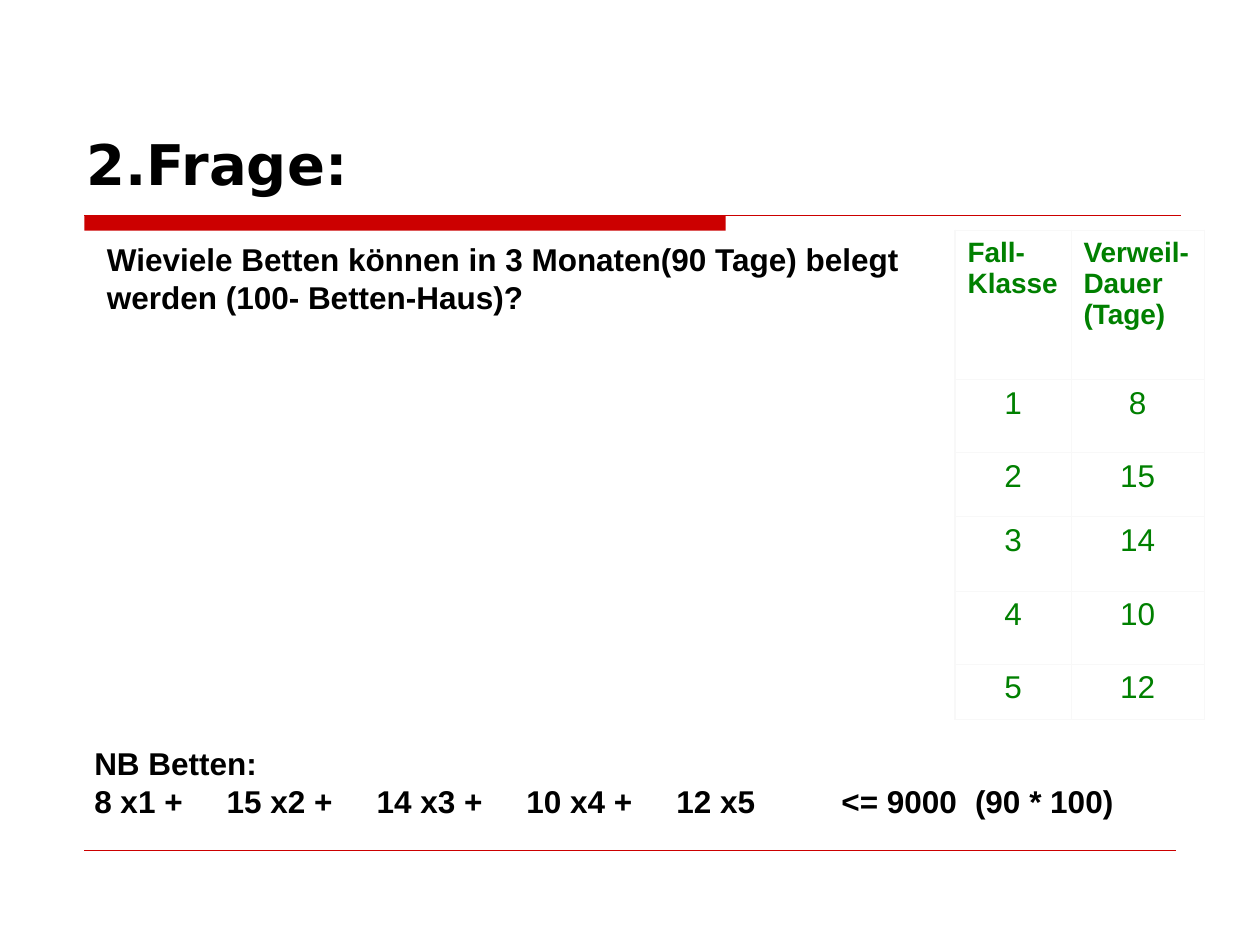
from lxml.etree import SubElement
from pptx import Presentation
from pptx.dml.color import RGBColor
from pptx.enum.shapes import MSO_CONNECTOR as Connector, MSO_SHAPE as Shape
from pptx.enum.text import MSO_ANCHOR as Anchor, PP_ALIGN as Align
from pptx.oxml.ns import qn
from pptx.util import Inches, Pt

COLORS = {"red": "CC0000", "black": "000000", "green": "008000", "grid": "F8F8F8"}
LEFT, RULE_TOP = 0.67, 1.71
COLUMNS = [0.92, 1.06]
ROWS = [1.18, 0.58, 0.51, 0.59, 0.58, 0.44]
HEADINGS = [["Fall-", "Klasse"], ["Verweil-", "Dauer", "(Tage)"]]
STAY_DAYS = [8, 15, 14, 10, 12]


def color(name):
    return RGBColor.from_string(COLORS[name])


def write(frame, lines, size, font="Arial", ink="black", bold=True, align=Align.LEFT):
    for index, line in enumerate(lines):
        para = frame.paragraphs[0] if index == 0 else frame.add_paragraph()
        para.alignment = align
        span = para.add_run()
        span.text = line
        span.font.size = Pt(size)
        span.font.name = font
        span.font.bold = bold
        span.font.color.rgb = color(ink)


def add_text(page, place, lines, size, font="Arial", anchor=Anchor.TOP):
    box = page.shapes.add_textbox(*map(Inches, place))
    box.text_frame.word_wrap = True
    box.text_frame.vertical_anchor = anchor
    write(box.text_frame, lines, size, font)
    return box


def add_rule(page, right, top, width):
    rule = page.shapes.add_connector(
        Connector.STRAIGHT, Inches(LEFT), Inches(top), Inches(right), Inches(top))
    rule.line.color.rgb = color("red")
    rule.line.width = Pt(width)
    SubElement(rule._element.spPr, qn("a:effectLst"))


def add_bar(page):
    bar = page.shapes.add_shape(
        Shape.RECTANGLE, Inches(LEFT), Inches(RULE_TOP), Inches(5.09), Inches(0.12))
    bar.shadow.inherit = False
    bar.fill.solid()
    bar.fill.fore_color.rgb = color("red")
    bar.line.fill.background()


def set_tabs(para, stops):
    tabs = SubElement(para._p.get_or_add_pPr(), qn("a:tabLst"))
    for stop in stops:
        SubElement(tabs, qn("a:tab"), pos=str(Inches(stop)), algn="l")


def set_borders(cell, widths):
    props = cell._tc.get_or_add_tcPr()
    for side, width in widths.items():
        line = SubElement(props, qn(f"a:ln{side}"), w=str(Pt(width)))
        fill = SubElement(line, qn("a:solidFill"))
        SubElement(fill, qn("a:srgbClr"), val=COLORS["grid"])


def add_stay_table(page):
    frame = page.shapes.add_table(
        len(ROWS), len(COLUMNS), Inches(7.58), Inches(1.83),
        Inches(sum(COLUMNS)), Inches(sum(ROWS)))
    table = frame.table
    table.first_row = table.horz_banding = False
    for column, width in zip(table.columns, COLUMNS):
        column.width = Inches(width)
    for row, height in zip(table.rows, ROWS):
        row.height = Inches(height)

    values = [[[str(number)], [str(days)]] for number, days in enumerate(STAY_DAYS, 1)]
    for r, row in enumerate([HEADINGS] + values):
        for c, lines in enumerate(row):
            cell = table.cell(r, c)
            # The left, top and bottom edges of the grid are heavier
            set_borders(cell, {
                "L": 0.96 if c == 0 else 0.45,
                "R": 0.45,
                "T": 0.96 if r == 0 else 0.45,
                "B": 0.96 if r == len(ROWS) - 1 else 0.45,
            })
            cell.fill.background()
            if r == 0:
                write(cell.text_frame, lines, 16, ink="green")
            else:
                write(cell.text_frame, lines, 18, ink="green", bold=False,
                      align=Align.CENTER)


def main():
    deck = Presentation()
    deck.slide_width, deck.slide_height = Inches(10), Inches(7.5)
    page = deck.slides.add_slide(deck.slide_layouts[6])

    # Red rules below the title and at the foot
    add_bar(page)
    add_rule(page, 9.37, RULE_TOP, 0.75)
    add_rule(page, 9.33, 6.75, 0.25)

    # Title and question
    add_text(page, (0.75, 1.86, 8.19, 1.3),
             ["Wieviele Betten können in 3 Monaten(90 Tage) belegt",
              "werden (100- Betten-Haus)?"], 18)
    add_text(page, (0.59, 0.91, 4.8, 0.7), ["2.Frage:"], 32, "DejaVu Sans",
             Anchor.BOTTOM)

    # Constraint, its terms set on even tab stops
    terms = " +\t".join(f"{days} x{n}" for n, days in enumerate(STAY_DAYS, 1))
    constraint = add_text(page, (0.65, 5.86, 8.36, 0.7),
                          ["NB Betten:", terms + "\t<= 9000\t(90 * 100)"], 18)
    term_stops = [1.05 + 1.19 * step for step in range(len(STAY_DAYS) - 1)]
    set_tabs(constraint.text_frame.paragraphs[1], term_stops + [5.93, 6.99])

    # Length of stay by case class
    add_stay_table(page)
    deck.save("out.pptx")


if __name__ == "__main__":
    main()
